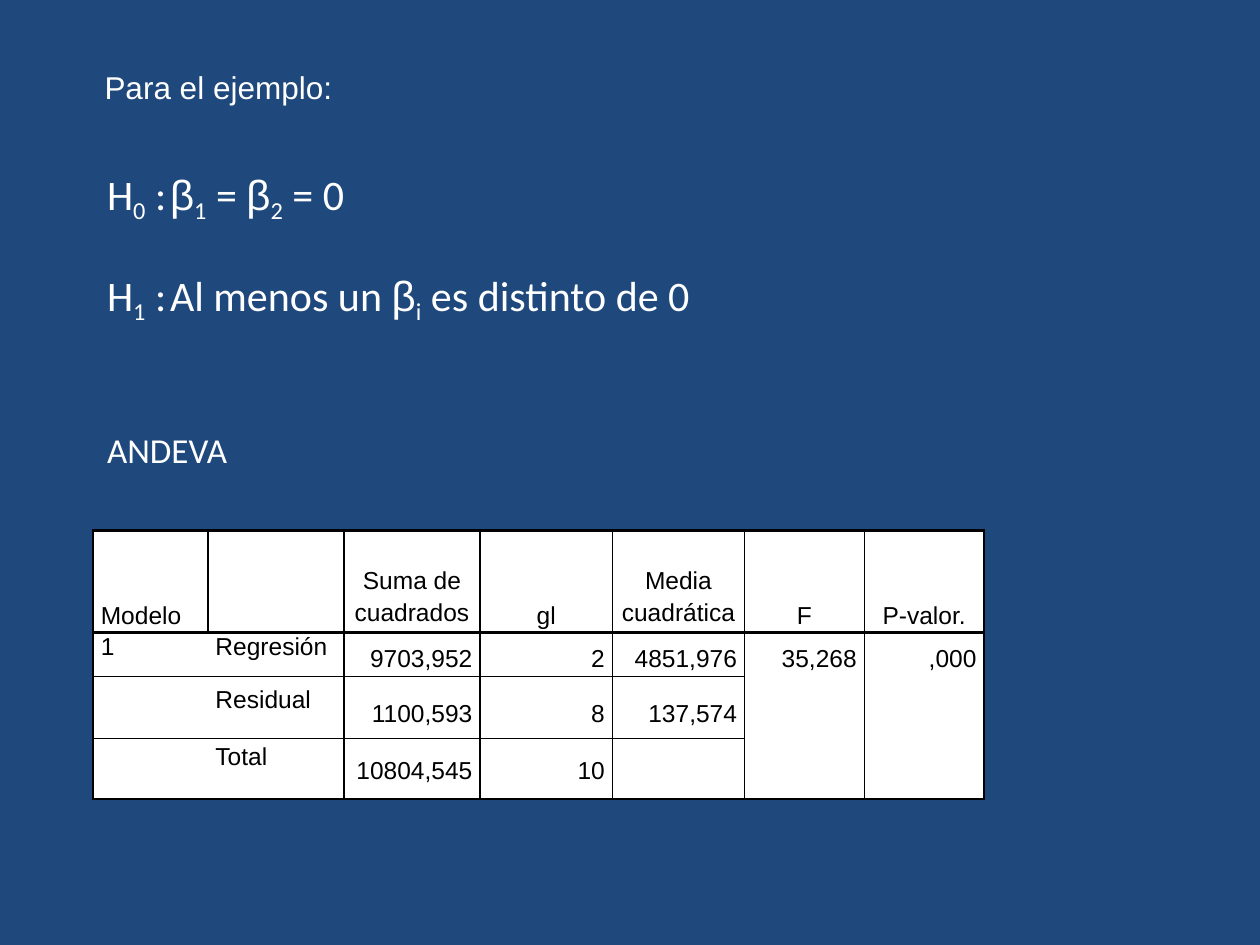
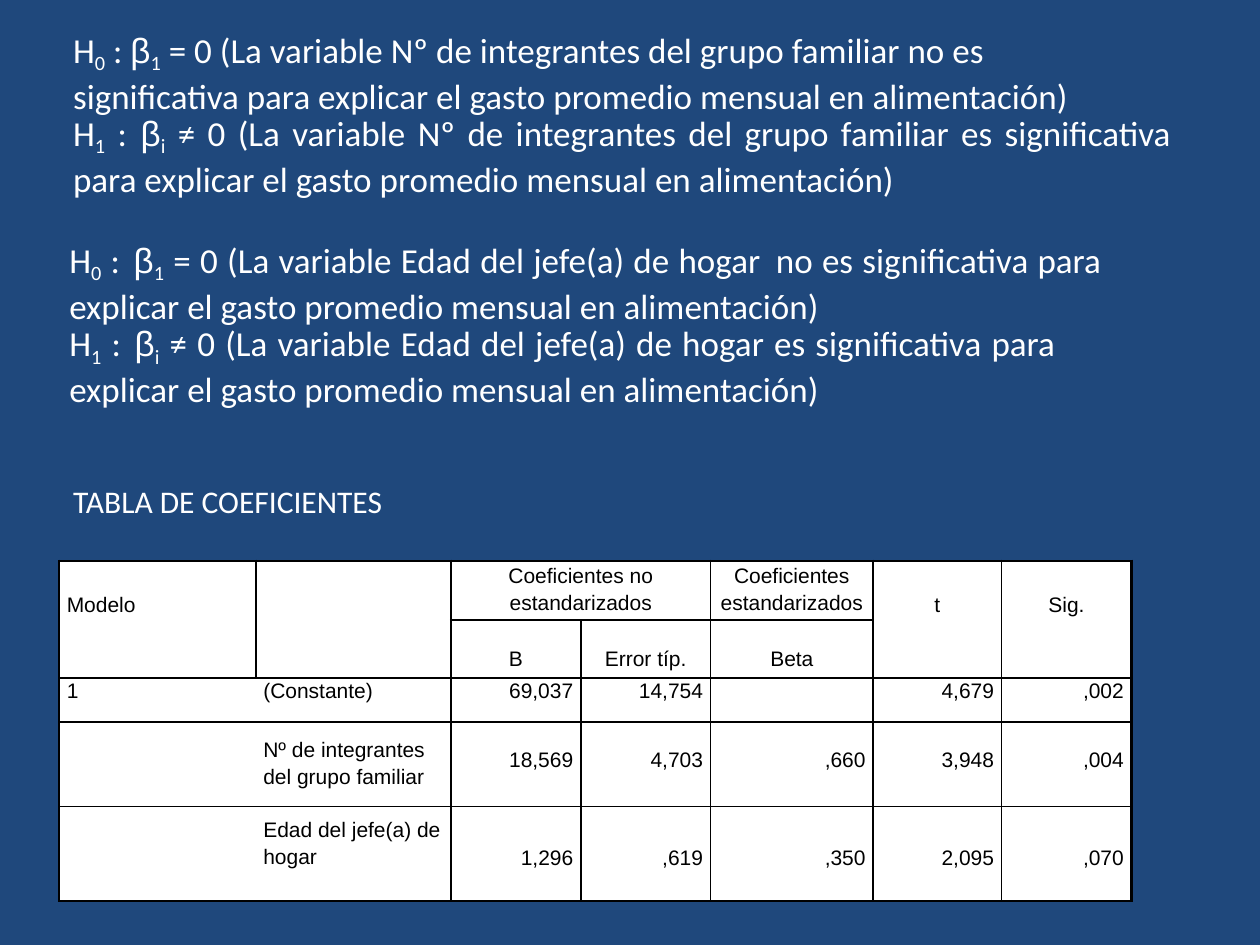
from dataclasses import dataclass
from itertools import groupby

from lxml import etree
from pptx import Presentation
from pptx.dml.color import RGBColor
from pptx.enum.text import PP_ALIGN
from pptx.oxml.ns import qn
from pptx.util import Inches, Pt

LEFT, CENTER, RIGHT, JUSTIFY = PP_ALIGN.LEFT, PP_ALIGN.CENTER, PP_ALIGN.RIGHT, PP_ALIGN.JUSTIFY


@dataclass(frozen=True)
class Theme:
    background: str = "1F487C"
    light: str = "FFFFFF"
    dark: str = "000000"
    body_font: str = "Calibri"
    plain_font: str = "Arial"
    subscript: int = -21000
    thick: float = 1.5
    thin: float = 1
    cell_indent: float = 0.06
    no_table_style: str = "{2D5ABB26-0587-4C30-8999-92F81FD0307C}"


THEME = Theme()

# In paragraph text, "_" sets the next character as a subscript.
# Each box: left, top, width, height, top inset, paragraphs.
ANOVA_BOXES = [
    (0.82, 0.52, 1.83, 0.33, 0.02, [
        dict(text="Para el ejemplo:", size=18, font=THEME.plain_font, indent=0.01)]),
    (0.82, 1.33, 2.3, 0.43, 0.01, [
        dict(text="H_0 :\tβ_1 = β_2 = 0", size=24, indent=0.03, tabs=[0.66])]),
    (0.81, 2.13, 5.2, 1.57, 0.01, [
        dict(text="H_1 :\tAl menos un β_i es distinto de 0", size=24, indent=0.04, tabs=[0.67]),
        dict(text="ANDEVA", size=20, indent=0.04, before=59)]),
]
COEFFICIENT_BOXES = [
    (0.54, 0.23, 8.86, 1.36, 0.03, [
        dict(text="H_0 : β_1 = 0 (La variable Nº de integrantes del grupo familiar no es "
                  "significativa para explicar el gasto promedio mensual en alimentación)",
             size=20, indent=0.04, right=0.25, line=23.8),
        dict(text="H_1 :\tβ_i ≠ 0 (La variable Nº de integrantes del grupo familiar es "
                  "significativa para explicar el gasto promedio mensual en alimentación)",
             size=20, indent=0.04, right=0.1, line=23.8, tabs=[0.67], align=JUSTIFY)]),
    (0.49, 1.9, 8.89, 2.25, 0.03, [
        dict(text="H_0 :\tβ_1 = 0 (La variable Edad del jefe(a) de hogar\tno es "
                  "significativa para explicar el gasto promedio mensual en alimentación)",
             size=20, indent=0.06, right=0.64, line=23.8, tabs=[0.71, 6.16], align=JUSTIFY),
        dict(text="H_1 :\tβ_i ≠ 0 (La variable Edad del jefe(a) de hogar es significativa "
                  "para explicar el gasto promedio mensual en alimentación)",
             size=20, indent=0.06, right=1, line=23.8, tabs=[0.63], align=JUSTIFY),
        dict(text="TABLA DE COEFICIENTES", size=18, indent=0.09, before=41.5)]),
]

# Cells: column -> (text, top inset); merges: first row, first column, rows, columns.
ANOVA_TABLE = dict(
    left=0.74, top=4.21, size=14, header_rows=1,
    widths=[0.91, 1.08, 1.08, 1.05, 1.05, 0.95, 0.95],
    heights=[0.81, 0.35, 0.49, 0.48],
    merges=[(1, 5, 3, 1), (1, 6, 3, 1)],
    rows=[
        {0: ("Modelo", 0.57), 2: ("Suma de cuadrados", 0.26), 3: ("gl", 0.57),
         4: ("Media cuadrática", 0.26), 5: ("F", 0.57), 6: ("P-valor.", 0.57)},
        {0: ("1", 0.01), 1: ("Regresión", 0.01), 2: ("9703,952", 0.1), 3: ("2", 0.1),
         4: ("4851,976", 0.1), 5: ("35,268", 0.1), 6: (",000", 0.1)},
        {1: ("Residual", 0.08), 2: ("1100,593", 0.19), 3: ("8", 0.19), 4: ("137,574", 0.19)},
        {1: ("Total", 0.04), 2: ("10804,545", 0.15), 3: ("10", 0.15)},
    ])
COEFFICIENT_TABLE = dict(
    left=0.47, top=4.45, size=12, header_rows=2,
    widths=[1.56, 1.55, 1.03, 1.03, 1.29, 1.02, 1.03],
    heights=[0.47, 0.43, 0.35, 0.67, 0.75],
    merges=[(0, 0, 2, 1), (0, 1, 2, 1), (0, 2, 1, 2), (0, 5, 2, 1), (0, 6, 2, 1)],
    rows=[
        {0: ("Modelo", 0.26), 2: ("Coeficientes no\nestandarizados", 0),
         4: ("Coeficientes\nestandarizados", 0), 5: ("t", 0.26), 6: ("Sig.", 0.26)},
        {2: ("B", 0.22), 3: ("Error típ.", 0.22), 4: ("Beta", 0.22)},
        {0: ("1", 0.01), 1: ("(Constante)", 0.01), 2: ("69,037", 0.01),
         3: ("14,754", 0.01), 5: ("4,679", 0.01), 6: (",002", 0.01)},
        {1: ("Nº de integrantes\ndel grupo familiar", 0.1), 2: ("18,569", 0.21),
         3: ("4,703", 0.21), 4: (",660", 0.21), 5: ("3,948", 0.21), 6: (",004", 0.21)},
        {1: ("Edad del jefe(a) de hogar", 0.07), 2: ("1,296", 0.32),
         3: (",619", 0.32), 4: (",350", 0.32), 5: ("2,095", 0.32), 6: (",070", 0.32)},
    ])
SLIDES = [(ANOVA_BOXES, ANOVA_TABLE), (COEFFICIENT_BOXES, COEFFICIENT_TABLE)]
LABEL_COLUMNS = 2


def add_span(para, text, size, font, color, subscript=False):
    span = para.add_run()
    span.text = text
    span.font.size = Pt(size)
    span.font.name = font
    span.font.color.rgb = RGBColor.from_string(color)
    if subscript:
        span.font._element.set("baseline", str(THEME.subscript))


def add_spans(para, text, size, font):
    """Split text into plain, subscript and Greek runs."""
    marked = []
    for index, char in enumerate(text):
        if char != "_":
            marked.append((char, index > 0 and text[index - 1] == "_", char == "β"))
    for (lowered, greek), chars in groupby(marked, key=lambda item: item[1:]):
        add_span(para, "".join(item[0] for item in chars), size,
                 THEME.plain_font if greek else font, THEME.light, lowered)


def set_indents(para, left, right=0.0):
    properties = para._p.get_or_add_pPr()
    properties.set("marL", str(Inches(left)))
    properties.set("marR", str(Inches(right)))
    properties.set("indent", "0")
    return properties


def set_margins(holder, top):
    holder.margin_left = holder.margin_right = holder.margin_bottom = 0
    holder.margin_top = Inches(top)


def add_box(page, left, top, width, height, inset, paragraphs):
    frame = page.shapes.add_textbox(*map(Inches, (left, top, width, height))).text_frame
    frame.word_wrap = True
    set_margins(frame, inset)
    for index, content in enumerate(paragraphs):
        para = frame.add_paragraph() if index else frame.paragraphs[0]
        para.alignment = content.get("align", LEFT)
        para.space_before = Pt(content.get("before", 0))
        if "line" in content:
            para.line_spacing = Pt(content["line"])
        properties = set_indents(para, content["indent"], content.get("right", 0))
        if "tabs" in content:
            stops = etree.SubElement(properties, qn("a:tabLst"))
            for stop in content["tabs"]:
                etree.SubElement(stops, qn("a:tab"), pos=str(Inches(stop)), algn="l")
        add_spans(para, content["text"], content["size"],
                  content.get("font", THEME.body_font))


def vertical_weight(boundary, row, data):
    if boundary == 1 and row >= data["header_rows"]:
        return 0
    outer = boundary <= LABEL_COLUMNS or boundary == len(data["widths"])
    return THEME.thick if outer else THEME.thin


def horizontal_weight(boundary, data):
    header = data["header_rows"]
    if boundary in (0, header, len(data["heights"])):
        return THEME.thick
    return THEME.thin if boundary <= header + 1 else 0


def set_borders(cell, weights):
    properties = cell._tc.get_or_add_tcPr()
    sides = ("a:lnL", "a:lnR", "a:lnT", "a:lnB")
    lines = [(side, weight) for side, weight in zip(sides, weights) if weight]
    for position, (side, weight) in enumerate(lines):
        line = etree.Element(qn(side), w=str(Pt(weight)))
        fill = etree.SubElement(line, qn("a:solidFill"))
        etree.SubElement(fill, qn("a:srgbClr"), val=THEME.dark)
        properties.insert(position, line)


def fill_cell(cell, text, inset, size, align):
    set_margins(cell, inset)
    lines = text.split("\n")
    wraps = len(lines) > 1 or len(text) > len("(Constante)")
    for index, line in enumerate(lines):
        para = cell.text_frame.add_paragraph() if index else cell.text_frame.paragraphs[0]
        para.alignment = align
        if wraps:
            para.line_spacing = 1.15
        set_indents(para, THEME.cell_indent if align == LEFT else 0,
                    THEME.cell_indent if align == RIGHT else 0)
        add_span(para, line, size, THEME.plain_font, THEME.dark)


def add_grid(page, data):
    widths, heights, header = data["widths"], data["heights"], data["header_rows"]
    frame = page.shapes.add_table(
        len(heights), len(widths), Inches(data["left"]), Inches(data["top"]),
        Inches(sum(widths)), Inches(sum(heights)))
    table = frame.table
    table.first_row = table.horz_banding = False
    table._tbl.tblPr.find(qn("a:tableStyleId")).text = THEME.no_table_style
    for column, width in zip(table.columns, widths):
        column.width = Inches(width)
    for line, height in zip(table.rows, heights):
        line.height = Inches(height)
    spans = {}
    for row, column, deep, wide in data["merges"]:
        table.cell(row, column).merge(table.cell(row + deep - 1, column + wide - 1))
        spans[row, column] = (deep, wide)
    for row, entries in enumerate(data["rows"]):
        for column in range(len(widths)):
            cell = table.cell(row, column)
            cell.fill.solid()
            cell.fill.fore_color.rgb = RGBColor.from_string(THEME.light)
            if cell.is_spanned:
                continue
            text, inset = entries.get(column, ("", 0))
            if column < LABEL_COLUMNS and (row >= header or column == 0):
                align = LEFT
            else:
                align = CENTER if row < header else RIGHT
            fill_cell(cell, text, inset, data["size"], align)
            deep, wide = spans.get((row, column), (1, 1))
            set_borders(cell, (vertical_weight(column, row, data),
                               vertical_weight(column + wide, row, data),
                               horizontal_weight(row, data),
                               horizontal_weight(row + deep, data)))


def main():
    deck = Presentation()
    deck.slide_width, deck.slide_height = Inches(10), Inches(7.5)
    for boxes, table in SLIDES:
        page = deck.slides.add_slide(deck.slide_layouts[6])
        page.background.fill.solid()
        page.background.fill.fore_color.rgb = RGBColor.from_string(THEME.background)
        add_grid(page, table)
        for box in boxes:
            add_box(page, *box)
    deck.save("out.pptx")


if __name__ == "__main__":
    main()
